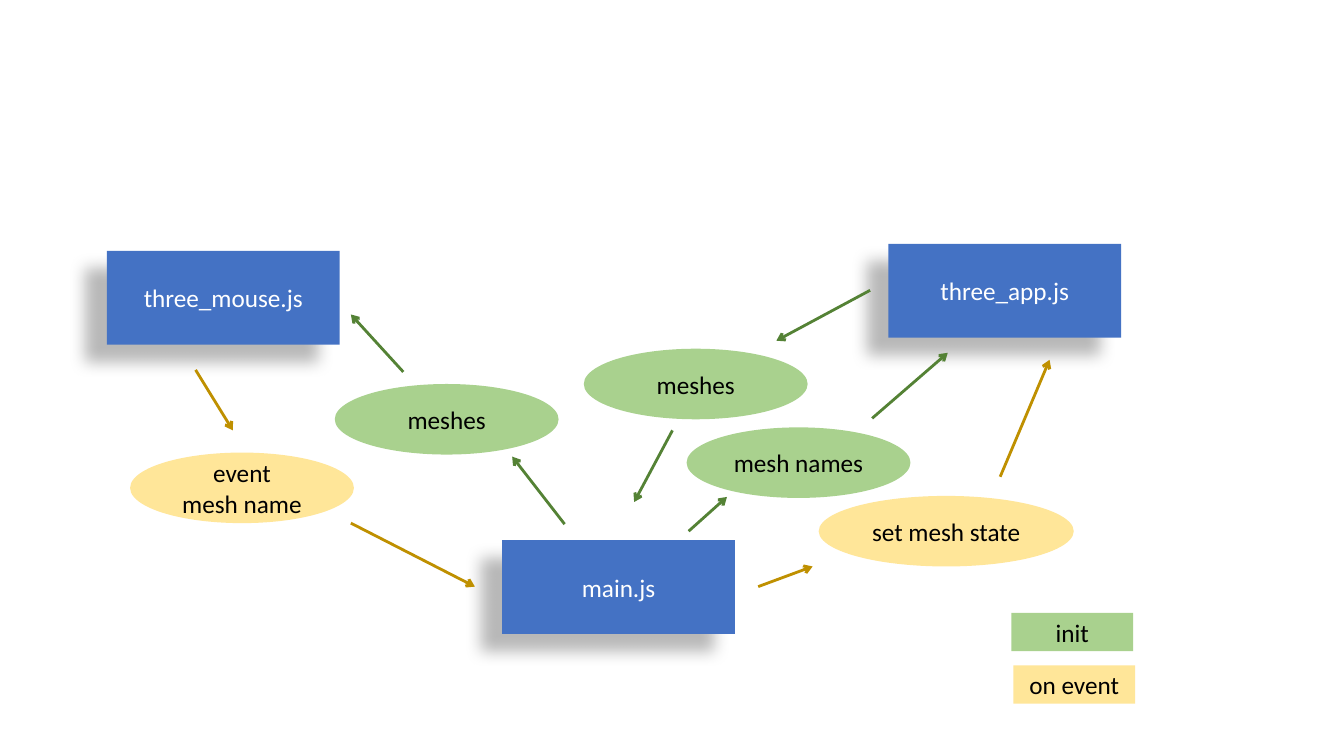
from dataclasses import dataclass

from lxml.etree import SubElement
from pptx import Presentation
from pptx.dml.color import RGBColor
from pptx.enum.shapes import MSO_CONNECTOR as Connector, MSO_SHAPE as Preset
from pptx.enum.text import MSO_ANCHOR as Anchor, PP_ALIGN as Align
from pptx.oxml.ns import qn
from pptx.shapes.autoshape import Shape
from pptx.slide import Slide
from pptx.util import Inches, Pt

FILE_BLUE = "4472C4"
INIT_FILL, INIT_LINE = "A9D18E", "548235"
EVENT_FILL, EVENT_LINE = "FFE699", "BF9000"
BLACK, WHITE = "000000", "FFFFFF"

FILE_SIZE = (2.31, 0.93)
MESSAGE_SIZE = (2.22, 0.7)
WIDE_MESSAGE_SIZE = (2.53, 0.7)
KEY_SIZE = (1.21, 0.38)


@dataclass(frozen=True)
class Node:
    """A labelled shape; left, top and size are in inches."""
    text: str
    left: float
    top: float
    fill: str
    size: tuple[float, float] = MESSAGE_SIZE


@dataclass(frozen=True)
class Arrow:
    """A straight arrow between two points in inches."""
    start: tuple[float, float]
    end: tuple[float, float]
    color: str


FILES = [
    Node("main.js", 4.98, 5.36, FILE_BLUE, FILE_SIZE),
    Node("three_app.js", 8.81, 2.42, FILE_BLUE, FILE_SIZE),
    Node("three_mouse.js", 1.06, 2.49, FILE_BLUE, FILE_SIZE),
]
MESSAGES = [
    Node("mesh names", 6.81, 4.24, INIT_FILL),
    Node("meshes", 5.79, 3.46, INIT_FILL),
    Node("meshes", 3.32, 3.81, INIT_FILL),
    Node("event\nmesh name", 1.29, 4.49, EVENT_FILL),
    Node("set mesh state", 8.12, 4.92, EVENT_FILL, WIDE_MESSAGE_SIZE),
]
LEGEND = [
    Node("init", 10.03, 6.08, INIT_FILL, KEY_SIZE),
    Node("on event", 10.05, 6.6, EVENT_FILL, KEY_SIZE),
]
ARROWS = [
    Arrow((6.83, 5.27), (7.21, 4.93), INIT_LINE),
    Arrow((8.65, 4.15), (9.4, 3.5), INIT_LINE),
    Arrow((8.63, 2.88), (7.7, 3.38), INIT_LINE),
    Arrow((6.67, 4.27), (6.29, 4.98), INIT_LINE),
    Arrow((5.6, 5.2), (5.08, 4.53), INIT_LINE),
    Arrow((4, 3.69), (3.48, 3.12), INIT_LINE),
    Arrow((1.94, 3.67), (2.31, 4.27), EVENT_LINE),
    Arrow((3.48, 5.19), (4.71, 5.82), EVENT_LINE),
    Arrow((7.52, 5.82), (8.06, 5.62), EVENT_LINE),
    Arrow((9.92, 4.73), (10.41, 3.57), EVENT_LINE),
]


def rgb(color: str) -> RGBColor:
    """Turn a hex string into a colour."""
    return RGBColor.from_string(color)


def write(box: Shape, text: str, *, color: str = BLACK, size: float = 18,
          font: str = "Calibri") -> None:
    """Write centred text, one paragraph a line."""
    frame = box.text_frame
    frame.word_wrap = True
    frame.vertical_anchor = Anchor.MIDDLE
    frame.text = text
    for para in frame.paragraphs:
        para.alignment = Align.CENTER
        for span in para.runs:
            span.font.name = font
            span.font.size = Pt(size)
            span.font.color.rgb = rgb(color)


def draw_node(page: Slide, node: Node, preset: Preset, color: str = BLACK) -> Shape:
    """Draw a flat, filled shape with its label."""
    left, top, width, height = map(Inches, (node.left, node.top, *node.size))
    box = page.shapes.add_shape(preset, left, top, width, height)
    box.shadow.inherit = False
    box.fill.solid()
    box.fill.fore_color.rgb = rgb(node.fill)
    box.line.fill.background()
    write(box, node.text, color=color)
    return box


def cast_shadow(box: Shape) -> None:
    """Give a shape a soft shadow to the lower left."""
    effects = box.element.spPr.find(qn("a:effectLst"))
    shadow = SubElement(effects, qn("a:outerShdw"), blurRad=str(Pt(11.8)),
                        dist=str(Pt(19.7)), dir=str(141 * 60000),
                        algn="ctr", rotWithShape="0")
    shade = SubElement(shadow, qn("a:srgbClr"), val=BLACK)
    SubElement(shade, qn("a:alpha"), val="28000")


def draw_arrow(page: Slide, arrow: Arrow) -> None:
    """Draw a straight line with an open head at its end."""
    points = map(Inches, (*arrow.start, *arrow.end))
    link = page.shapes.add_connector(Connector.STRAIGHT, *points)
    link.line.color.rgb = rgb(arrow.color)
    link.line.width = Pt(2)
    properties = link.element.spPr
    SubElement(properties.find(qn("a:ln")), qn("a:tailEnd"), type="arrow")
    SubElement(properties, qn("a:effectLst"))


def build() -> None:
    """Build the message flow diagram and save it."""
    deck = Presentation()
    deck.slide_width, deck.slide_height = Inches(13.33), Inches(7.5)
    page = deck.slides.add_slide(deck.slide_layouts[6])
    for node in FILES:
        cast_shadow(draw_node(page, node, Preset.RECTANGLE, WHITE))
    for node in MESSAGES:
        draw_node(page, node, Preset.OVAL)
    for arrow in ARROWS:
        draw_arrow(page, arrow)
    for node in LEGEND:
        draw_node(page, node, Preset.RECTANGLE)
    deck.save("out.pptx")


build()
